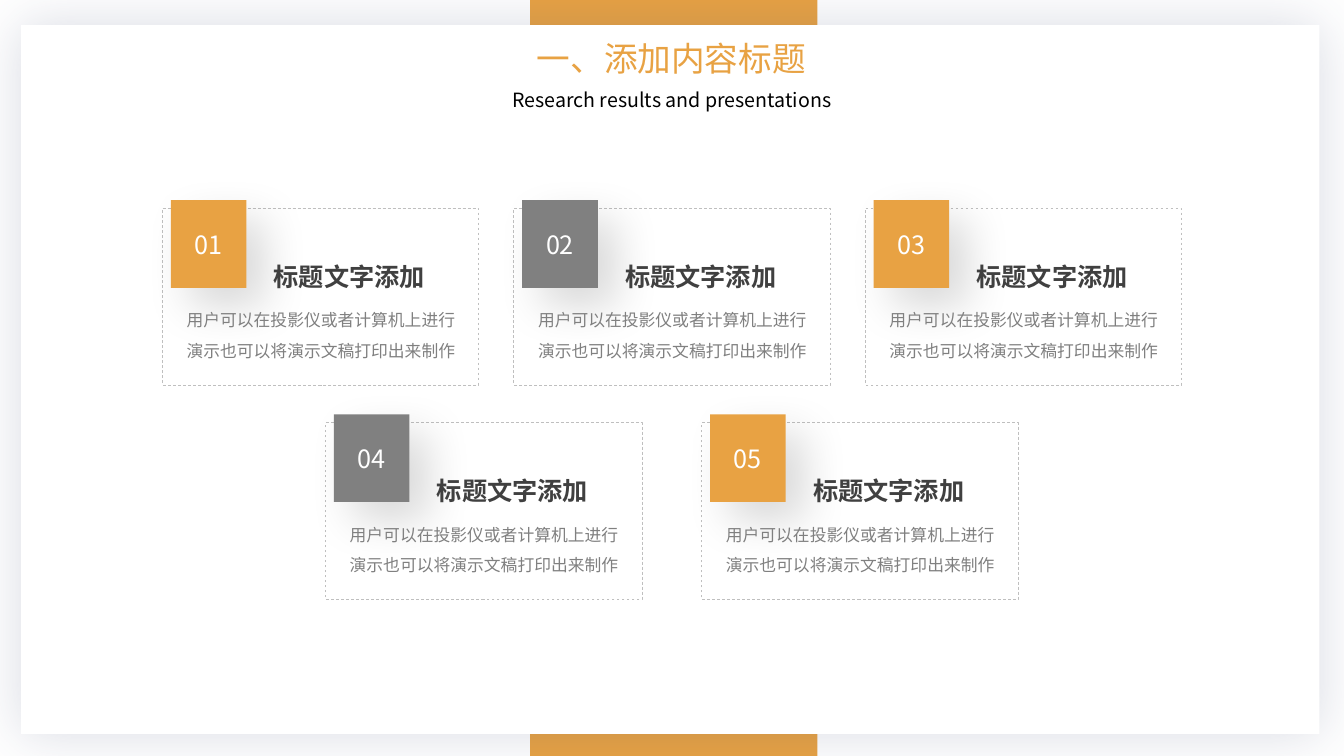
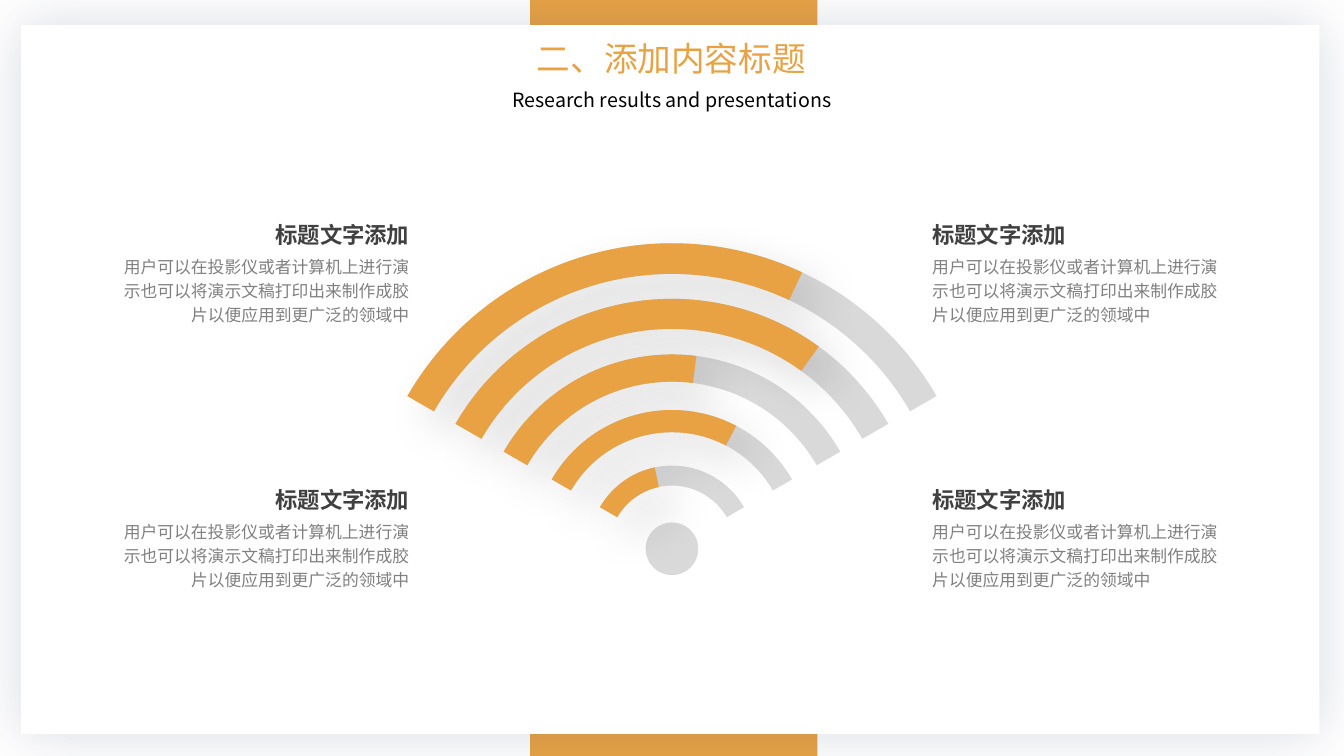
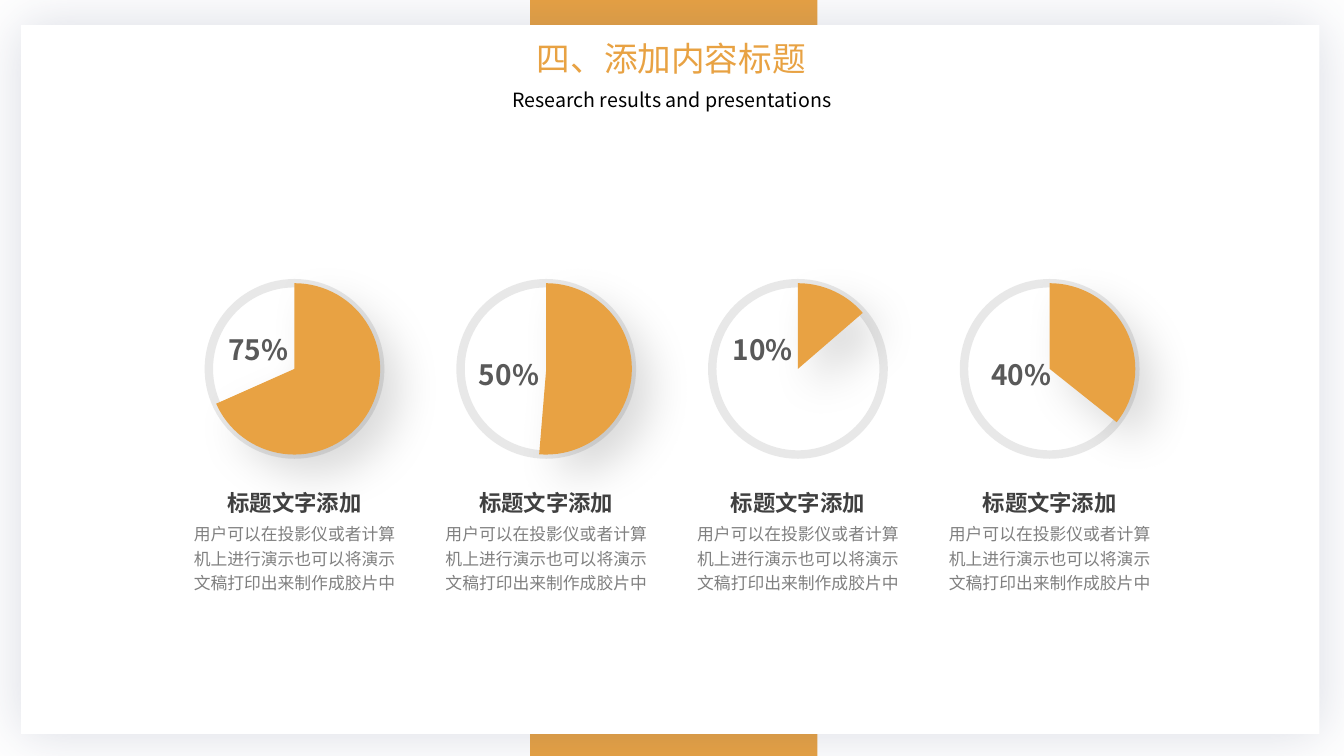
import pptx
import pptx.dml.color
import pptx.enum.dml
import pptx.enum.shapes
import pptx.enum.text
import pptx.oxml.ns
import pptx.util
from lxml import etree

Pt = pptx.util.Pt
rgb = pptx.dml.color.RGBColor.from_string
qn = pptx.oxml.ns.qn
MSO = pptx.enum.shapes.MSO_SHAPE
ALIGN = pptx.enum.text.PP_ALIGN

FONT = "Noto Sans CJK SC"
ORANGE, GRAY, SILVER, DARK = "E8A243", "808080", "D9D9D9", "404040"
# Shadow: colour, opacity %, blur, distance, direction in degrees
PANEL_SHADOW = ("434E77", 20, 40, 0, 0)
DROP_SHADOW = ("000000", 14, 32, 19, 45)
HEADING = "标题文字添加"
CARD_TEXT = "用户可以在投影仪或者计算机上进行演示也可以将演示文稿打印出来制作"
SIGNAL_TEXT = CARD_TEXT + "成胶片以便应用到更广泛的领域中"
PIE_TEXT = CARD_TEXT + "成胶片中"


def add_shape(s, kind, x, y, w, h, fill=None, shadow=None, adjustments=()):
    """Add a preset shape without outline, optionally filled and shadowed."""
    sp = s.shapes.add_shape(kind, Pt(x), Pt(y), Pt(w), Pt(h))
    for i, value in enumerate(adjustments):
        sp.adjustments[i] = value
    if fill:
        sp.fill.solid()
        sp.fill.fore_color.rgb = rgb(fill)
    else:
        sp.fill.background()
    sp.line.fill.background()
    sp.shadow.inherit = False
    if shadow:
        color, opacity, blur, distance, direction = shadow
        effects = sp.element.spPr.find(qn("a:effectLst"))
        outer = etree.SubElement(
            effects, qn("a:outerShdw"), blurRad=str(Pt(blur)), dist=str(Pt(distance)),
            dir=str(direction * 60000), algn="ctr", rotWithShape="0")
        clr = etree.SubElement(outer, qn("a:srgbClr"), val=color)
        etree.SubElement(clr, qn("a:alpha"), val=str(opacity * 1000))
    return sp


def write(sp, text, size, color, bold=False, align=ALIGN.LEFT, spacing=None, wrap=True):
    """Put one styled paragraph into a shape or text box."""
    tf = sp.text_frame
    tf.word_wrap = wrap
    p = tf.paragraphs[0]
    p.text = text
    p.alignment = align
    if spacing:
        p.line_spacing = spacing
    p.font.size = Pt(size)
    p.font.bold = bold
    p.font.name = FONT
    p.font.color.rgb = rgb(color)
    etree.SubElement(p._p.pPr.find(qn("a:defRPr")), qn("a:ea"), typeface=FONT)


prs = pptx.Presentation()
prs.slide_width, prs.slide_height = Pt(960), Pt(540)
slides = []
for number in "一二四":
    s = prs.slides.add_slide(prs.slide_layouts[6])
    title = s.shapes.add_textbox(Pt(284.4), Pt(23.8), Pt(390.2), Pt(36))
    write(title, number + "、添加内容标题", 24, ORANGE, align=ALIGN.CENTER)
    subtitle = s.shapes.add_textbox(Pt(230.4), Pt(59), Pt(499), Pt(24.5))
    write(subtitle, "Research results and presentations", 14, "000000", align=ALIGN.CENTER)
    slides.append(s)

# The band and the white panel belong to the master
band = add_shape(slides[0], MSO.RECTANGLE, 378.7, 0, 205.2, 540, ORANGE)
panel = add_shape(slides[0], MSO.RECTANGLE, 15.1, 18, 927.4, 506.2, "FFFFFF", PANEL_SHADOW)
for sp in (band, panel):
    prs.slide_master.shapes.element.append(sp.element)

# Slide 1: five numbered cards in two rows
s = slides[0]
cards = [(116 + 251 * i, 149) for i in range(3)]
cards += [(232.5 + 268.7 * i, 302) for i in range(2)]
for i, (x, y) in enumerate(cards):
    frame = add_shape(s, MSO.RECTANGLE, x, y, 226.1, 126)
    frame.line.color.rgb = rgb("BFBFBF")
    frame.line.width = Pt(0.5)
    frame.line.dash_style = pptx.enum.dml.MSO_LINE.DASH
    badge = add_shape(s, MSO.RECTANGLE, x + 6, y - 6, 54, 62.6,
                      GRAY if i % 2 else ORANGE, DROP_SHADOW)
    badge.text_frame.vertical_anchor = pptx.enum.text.MSO_ANCHOR.MIDDLE
    write(badge, f"{i + 1:02}", 18, "FFFFFF", align=ALIGN.CENTER)
    body = s.shapes.add_textbox(Pt(x + 10.2), Pt(y + 61.7), Pt(207.4), Pt(49))
    write(body, CARD_TEXT, 12, GRAY, spacing=1.5)
    heading = s.shapes.add_textbox(Pt(x + 72.5), Pt(y + 29.8), Pt(141), Pt(31.7))
    write(heading, HEADING, 18, DARK, bold=True, spacing=1.2)

# Slide 2: signal arcs, each filled to its share of a 120 degree sweep
s = slides[1]
center_x, center_y = 480, 392
arcs = [(0.05, 0.71), (0.06, 0.8), (0.07, 0.56), (0.08, 0.73), (0.12, 0.4)]
for color, shadow in ((SILVER, None), (ORANGE, DROP_SHADOW)):
    for i, (thickness, share) in enumerate(arcs):
        size = 436.4 - 79.4 * i
        end = 210 + 120 * (share if color == ORANGE else 1)
        # One adjustment unit is 100000, one degree is 60000
        add_shape(s, MSO.BLOCK_ARC, center_x - size / 2, center_y - size / 2, size, size,
                  color, shadow, (210 * 0.6, end * 0.6, thickness))
    if color == SILVER:
        add_shape(s, MSO.OVAL, center_x - 18.8, center_y - 18.8, 37.6, 37.6, SILVER)
for body_x, heading_x, align in ((658.8, 658.8, ALIGN.LEFT), (74.9, 123.1, ALIGN.RIGHT)):
    for y in (150.5, 339.8):
        body = s.shapes.add_textbox(Pt(body_x), Pt(y + 26.2), Pt(224.6), Pt(59.8))
        write(body, SIGNAL_TEXT, 12, GRAY, align=align, spacing=1.2)
        heading = s.shapes.add_textbox(Pt(heading_x), Pt(y), Pt(176.4), Pt(28.8))
        write(heading, HEADING, 16, DARK, bold=True, align=align, spacing=1.2)

# Slide 3: pies with label, end angle and label offset
s = slides[2]
pies = [("75%", 156, 6.5, 234), ("50%", 94.7, 5.8, 252),
        ("10%", 319.2, 7.2, 234), ("40%", 38.5, 12.2, 251.5)]
for i, (label, end, label_dx, label_y) in enumerate(pies):
    x = 149.2 + 179.8 * i
    ring = add_shape(s, MSO.OVAL, x, 202.3, 122.4, 122.4)
    ring.line.color.rgb = rgb(SILVER)
    ring.line.width = Pt(6)
    ring_color = ring.element.spPr.find(".//" + qn("a:ln") + "//" + qn("a:srgbClr"))
    etree.SubElement(ring_color, qn("a:alpha"), val="60000")
    add_shape(s, MSO.ARC, x, 202.3, 122.4, 122.4, ORANGE, DROP_SHADOW,
              (270 * 0.6, end * 0.6))
    percent = s.shapes.add_textbox(Pt(x + label_dx), Pt(label_y), Pt(57.6), Pt(46.8))
    write(percent, label, 20, "595959", bold=True, align=ALIGN.CENTER, wrap=False)
    body = s.shapes.add_textbox(Pt(x - 19.4), Pt(368), Pt(161.3), Pt(59.8))
    write(body, PIE_TEXT, 12, GRAY, align=ALIGN.CENTER, spacing=1.2)
    heading = s.shapes.add_textbox(Pt(x - 27), Pt(342), Pt(176.4), Pt(28.8))
    write(heading, HEADING, 16, DARK, bold=True, align=ALIGN.CENTER, spacing=1.2)

prs.save("out.pptx")
